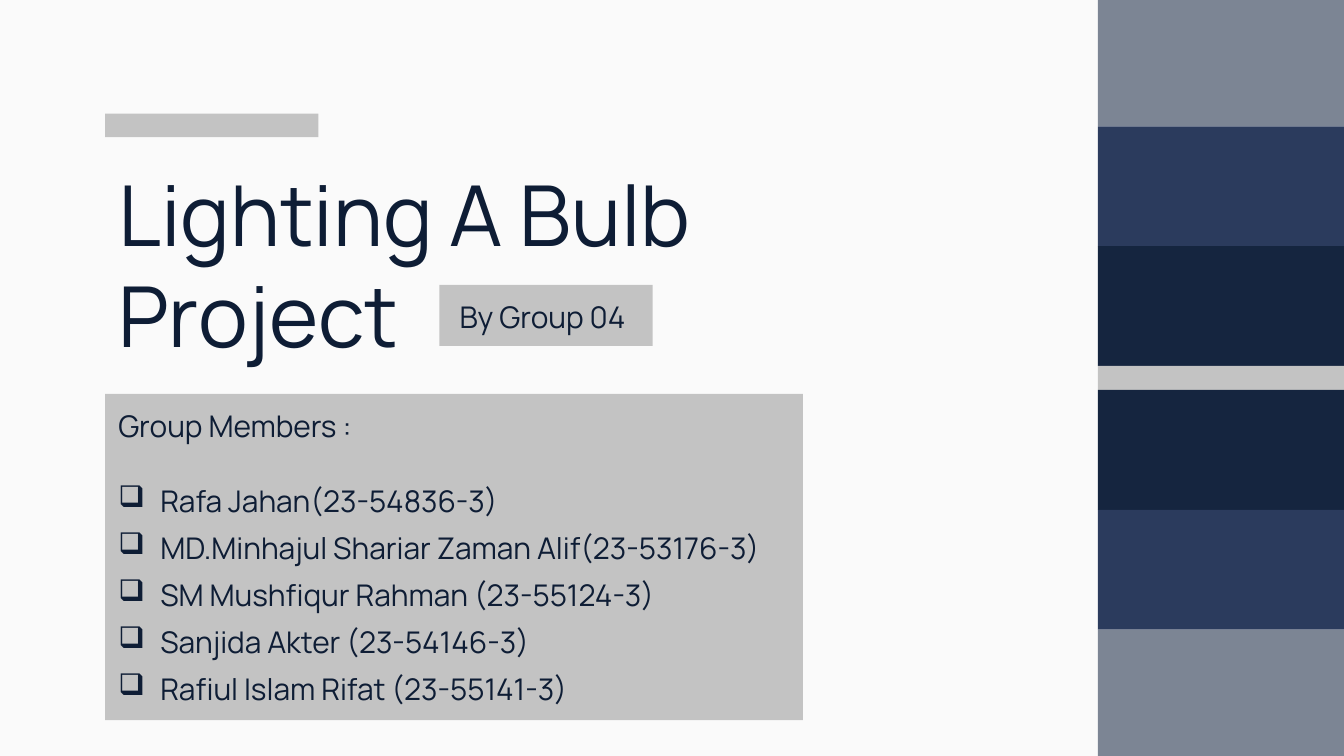
import pptx
import pptx.util
import pptx.dml.color
import pptx.enum.shapes
import pptx.enum.text
from lxml import etree

Pt = pptx.util.Pt
Anchor = pptx.enum.text.MSO_ANCHOR

# Content
TITLE = "Lighting A Bulb\vProject"
GROUP = "By Group 04"
HEAD = "Group Members :"
NAMES = [
    "Rafa Jahan(23-54836-3)",
    "MD.Minhajul Shariar Zaman Alif(23-53176-3)",
    "SM Mushfiqur Rahman (23-55124-3)",
    "Sanjida Akter (23-54146-3)",
    "Rafiul Islam Rifat (23-55141-3)",
]

# Look
FONT, INK, GREY, PAPER = "Manrope", "0E1D35", "C3C3C3", "FAFAFA"
WIDE, HIGH = 720, 405
LEFT, EDGE = 56.3, 588.2
HALF = [("7C8594", 67.7), ("2B3B5D", 64.2), ("15253F", 64.2)]
BANDS = HALF + [(GREY, 12.8)] + HALF[::-1]


def color(code):
    return pptx.dml.color.RGBColor.from_string(code)


def rect(slide, x, y, w, h, fill):
    kind = pptx.enum.shapes.MSO_SHAPE.RECTANGLE
    shape = slide.shapes.add_shape(kind, Pt(x), Pt(y), Pt(w), Pt(h))
    shape.shadow.inherit = False
    shape.fill.solid()
    shape.fill.fore_color.rgb = color(fill)
    shape.line.fill.background()
    return shape


def bullet(para, mark="❑", dent=22.5):
    props = para._p.get_or_add_pPr()
    props.set("marL", str(Pt(dent)))
    props.set("indent", str(-Pt(dent)))
    space = "{http://schemas.openxmlformats.org/drawingml/2006/main}"
    tint = etree.SubElement(props, space + "buClr")
    etree.SubElement(tint, space + "srgbClr", val=INK)
    etree.SubElement(props, space + "buChar", char=mark)


def write(shape, lines, size=16, anchor=Anchor.TOP, inset=7.2):
    frame = shape.text_frame
    frame.word_wrap = True
    frame.vertical_anchor = anchor
    frame.margin_left = Pt(inset)
    frame.margin_top = frame.margin_right = frame.margin_bottom = Pt(7.2)
    for i, line in enumerate(lines):
        para = frame.paragraphs[0] if i == 0 else frame.add_paragraph()
        para.text = line
        para.alignment = pptx.enum.text.PP_ALIGN.LEFT
        for run in para.runs:
            run.font.size = Pt(size)
            run.font.name = FONT
            run.font.color.rgb = color(INK)
    return frame.paragraphs


deck = pptx.Presentation()
deck.slide_width, deck.slide_height = Pt(WIDE), Pt(HIGH)
slide = deck.slides.add_slide(deck.slide_layouts[6])
slide.background.fill.solid()
slide.background.fill.fore_color.rgb = color(PAPER)

# Side bands, stacked from the top
top = 0
for fill, high in BANDS:
    rect(slide, EDGE, top, WIDE - EDGE, high, fill)
    top += high

# Title with its accent bar and group tag
box = slide.shapes.add_textbox(Pt(LEFT), Pt(72.7), Pt(358.6), Pt(129.6))
write(box, [TITLE], size=45, anchor=Anchor.BOTTOM)
write(rect(slide, 235.4, 152.7, 114.3, 32.6, GREY), [GROUP], inset=10.8)
rect(slide, LEFT, 60.9, 114.3, 12.6, GREY)

# Member list
panel = rect(slide, LEFT, 211, 373.9, 174.8, GREY)
head, *items = write(panel, [HEAD] + NAMES)
head.space_after = Pt(19.2)
for item in items:
    item.space_before, item.space_after = Pt(2), Pt(4)
    bullet(item)

deck.save("out.pptx")
